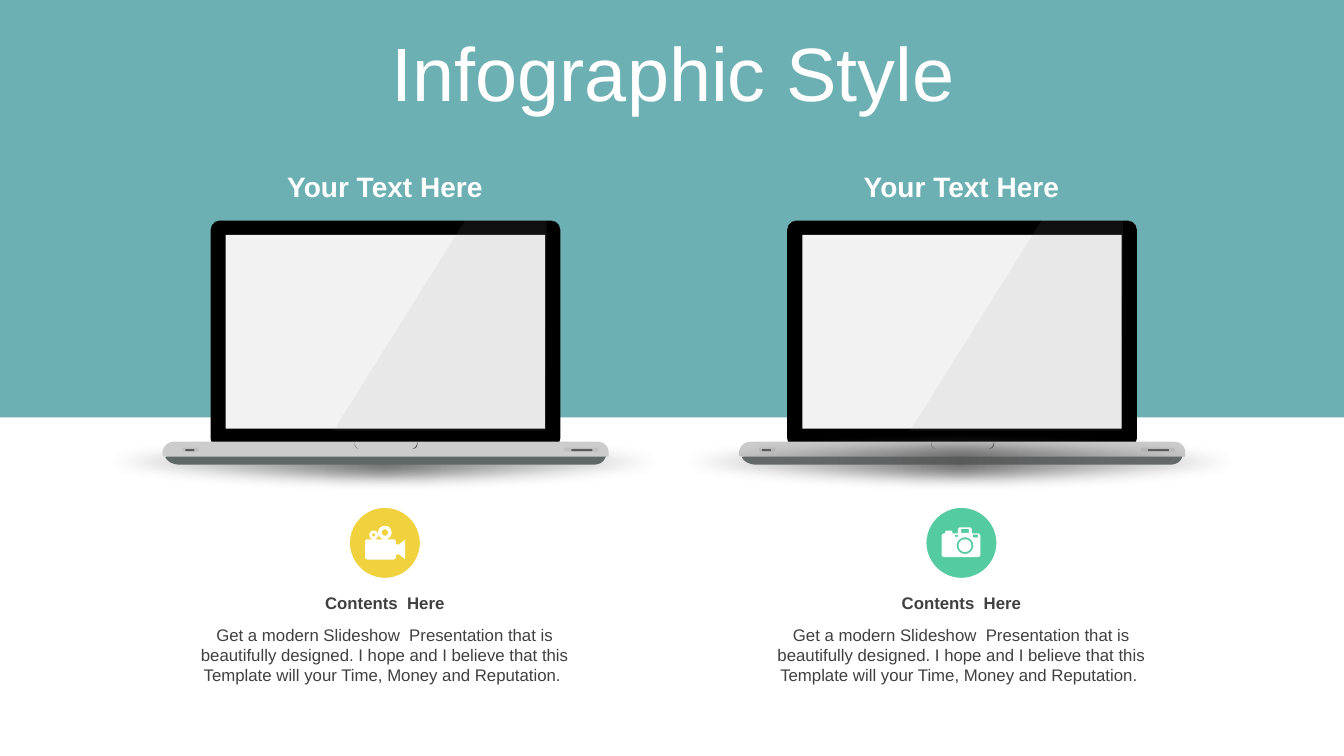
from math import cos, pi, sin

from lxml import etree
from pptx import Presentation
from pptx.dml.color import RGBColor
from pptx.enum.shapes import MSO_SHAPE
from pptx.enum.text import MSO_ANCHOR, PP_ALIGN
from pptx.oxml import parse_xml
from pptx.oxml.ns import nsdecls, qn
from pptx.util import Cm, Pt

RECT, ROUND, OVAL = MSO_SHAPE.RECTANGLE, MSO_SHAPE.ROUNDED_RECTANGLE, MSO_SHAPE.OVAL
CENTER, MIDDLE, TOP = PP_ALIGN.CENTER, MSO_ANCHOR.MIDDLE, MSO_ANCHOR.TOP
FONT = "Arial"


def disc(cx, cy, radius, steps=32):
    return [(cx + radius * cos(2 * pi * i / steps), cy + radius * sin(2 * pi * i / steps))
            for i in range(steps)]


def block(left, top, right, bottom):
    return [(left, top), (right, top), (right, bottom), (left, bottom)]


# Content: all lengths in cm; outlines hold points (x, y) or curves (x1, y1, x2, y2, x, y)
TITLE = "Infographic Style"
BODY = ("Get a modern Slideshow  Presentation that is beautifully designed. "
        "I hope and I believe that this Template will your Time, Money and Reputation. ")
VIDEO_ICON = [
    [(0.07, 0.34), (0.71, 0.34), (0.75, 0.34, 0.78, 0.37, 0.78, 0.41), (0.78, 0.46),
     (0.84, 0.48), (1.01, 0.35), (1.01, 0.84), (0.84, 0.71), (0.78, 0.74), (0.78, 0.78),
     (0.78, 0.82, 0.75, 0.85, 0.71, 0.85), (0.07, 0.85), (0.03, 0.85, 0, 0.82, 0, 0.78),
     (0, 0.41), (0, 0.37, 0.03, 0.34, 0.07, 0.34)],
    disc(0.5, 0.17, 0.17), disc(0.5, 0.17, 0.08),
    disc(0.22, 0.23, 0.11), disc(0.22, 0.23, 0.04),
]
CAMERA_ICON = [
    [(0.08, 0.15), (0.1, 0.1), (0.12, 0.08), (0.25, 0.08), (0.27, 0.1), (0.27, 0.15),
     (0.41, 0.15), (0.41, 0.04), (0.45, 0), (0.72, 0), (0.76, 0.04), (0.76, 0.15),
     (0.9, 0.15), (0.95, 0.15, 0.98, 0.18, 0.98, 0.23), (0.98, 0.67),
     (0.98, 0.72, 0.95, 0.75, 0.9, 0.75), (0.08, 0.75), (0.03, 0.75, 0, 0.72, 0, 0.67),
     (0, 0.23), (0, 0.18, 0.03, 0.15, 0.08, 0.15)],
    block(0.49, 0.04, 0.69, 0.14), block(0.34, 0.19, 0.41, 0.24),
    block(0.79, 0.18, 0.92, 0.25), disc(0.59, 0.46, 0.21), disc(0.59, 0.46, 0.16),
]
COLUMNS = [  # heading, label, body, icon colour, icon outline, icon left and top, shadow in front
    ("Your Text Here", "Contents  Here", BODY, "F0D23F", VIDEO_ICON, (9.2, 13.25), False),
    ("Your Text Here", "Contents  Here", BODY, "54CBA0", CAMERA_ICON, (9.2, 13.29), True),
]
COLUMN_STEP, COLUMN_CENTER = 14.53, 9.7

FOOT = [[(14.96, 11.71), (15.05, 11.71, 15.22, 11.68, 15.27, 11.5), (15.16, 11.4), (4.27, 11.4),
         (4.17, 11.53), (4.24, 11.66, 4.39, 11.7, 4.5, 11.71)]]
BASE = [[(4.39, 11.13), (15.06, 11.13), (15.22, 11.13, 15.34, 11.25, 15.34, 11.4),
         (15.34, 11.51), (4.2, 11.51), (4.15, 11.51, 4.1, 11.5, 4.09, 11.46), (4.09, 11.4),
         (4.12, 11.25, 4.22, 11.13, 4.39, 11.13)]]
NOTCH = [[(8.94, 11.13), (8.94, 11.13, 8.92, 11.28, 9.04, 11.31),
          (8.9, 11.28, 8.94, 11.13, 8.94, 11.13)],
         [(10.52, 11.13), (10.54, 11.28, 10.46, 11.31, 10.4, 11.31),
          (10.46, 11.28, 10.5, 11.26, 10.52, 11.13)]]
SHEEN = [[(11.73, 5.54), (13.77, 5.54), (13.74, 10.85), (8.41, 10.85)]]
SLOTS = [((4.6, 11.28, 0.41, 0.1), "BFBFBF"), ((4.67, 11.32, 0.23, 0.05), "595959"),
         ((14.22, 11.28, 0.86, 0.1), "BFBFBF"), ((14.4, 11.32, 0.53, 0.05), "595959")]

deck = Presentation()
deck.slide_width, deck.slide_height = Cm(33.87), Cm(19.05)
page = deck.slides.add_slide(deck.slide_layouts[5])


def color(value):
    return RGBColor.from_string(value)


def paint(shape, fill, opacity=100):
    shape.shadow.inherit = False
    shape.line.fill.background()
    shape.fill.solid()
    shape.fill.fore_color.rgb = color(fill)
    if opacity < 100:
        tint = shape.element.spPr.find(qn("a:solidFill"))[0]
        etree.SubElement(tint, qn("a:alpha"), val=str(opacity * 1000))
    return shape


def add_preset(kind, frame, fill, opacity=100, corner=None):
    shape = page.shapes.add_shape(kind, *map(Cm, frame))
    if corner is not None:
        shape.adjustments[0] = corner
    return paint(shape, fill, opacity)


def flatten(outline, steps=8):
    points = [outline[0]]
    for item in outline[1:]:
        if len(item) == 2:
            points.append(item)
            continue
        start, controls = points[-1], (item[:2], item[2:4], item[4:])
        for i in range(1, steps + 1):
            t = i / steps
            weights = ((1 - t) ** 3, 3 * t * (1 - t) ** 2, 3 * t * t * (1 - t), t ** 3)
            points.append(tuple(sum(w * p[axis] for w, p in zip(weights, (start, *controls)))
                                for axis in (0, 1)))
    return points


def add_outline(outlines, fill, left, top=0, opacity=100):
    builder = None
    for outline in outlines:
        points = [(Cm(left + x), Cm(top + y)) for x, y in flatten(outline)]
        if builder is None:
            builder = page.shapes.build_freeform(*points[0])
        else:
            builder.move_to(*points[0])
        builder.add_line_segments(points[1:], close=True)
    return paint(builder.convert_to_shape(), fill, opacity)


def write(box, text, size, fill, bold=False, anchor=TOP):
    frame = box.text_frame
    frame.word_wrap = True
    frame.vertical_anchor = anchor
    para = frame.paragraphs[0]
    para.alignment = CENTER
    span = para.add_run()
    span.text = text
    span.font.name, span.font.size, span.font.bold = FONT, Pt(size), bold
    span.font.color.rgb = color(fill)
    return para


def add_text(center, top, width, height, *style):
    box = page.shapes.add_textbox(Cm(center - width / 2), Cm(top), Cm(width), Cm(height))
    write(box, *style)


def add_shadow(shift):
    shape = add_preset(OVAL, (1.45 + shift, 10.9, 16.41, 1.45), "808080")
    solid = shape.element.spPr.find(qn("a:solidFill"))
    solid.getparent().replace(solid, parse_xml(
        f'<a:gradFill {nsdecls("a")} rotWithShape="1"><a:gsLst>'
        '<a:gs pos="0"><a:srgbClr val="595959"><a:alpha val="85000"/></a:srgbClr></a:gs>'
        '<a:gs pos="100000"><a:srgbClr val="808080"><a:alpha val="0"/></a:srgbClr></a:gs>'
        '</a:gsLst><a:path path="circle"><a:fillToRect l="50000" t="50000" r="50000" b="50000"/>'
        '</a:path></a:gradFill>'))
    effects = shape.element.spPr.find(qn("a:effectLst"))
    etree.SubElement(effects, qn("a:softEdge"), rad=str(Cm(0.35)))


def add_laptop(shift):
    add_outline(FOOT, "5F6767", shift)
    add_preset(ROUND, (5.31 + shift, 5.56, 8.81, 5.72), "000000", corner=0.04)
    add_preset(RECT, (5.69 + shift, 5.92, 8.05, 4.88), "F2F2F2")
    add_outline(BASE, "CCCCCC", shift)
    add_outline(NOTCH, "4D4D4D", shift)
    for (left, top, width, height), fill in SLOTS:
        add_preset(ROUND, (left + shift, top, width, height), fill, corner=0.28)
    add_outline(SHEEN, "999999", shift, opacity=10)


# Top band
add_preset(RECT, (0, 0, 33.87, 10.52), "1F878D", opacity=65)

# Columns
for index, (heading, label, body, fill, icon, (left, top), in_front) in enumerate(COLUMNS):
    shift = index * COLUMN_STEP
    center = COLUMN_CENTER + shift
    for draw in (add_laptop, add_shadow) if in_front else (add_shadow, add_laptop):
        draw(shift)
    add_text(center, 4.14, 6.2, 1.12, heading, 20, "FFFFFF", True)
    add_text(center, 14.81, 10.2, 0.76, label, 12, "404040", True)
    add_text(center, 15.62, 10.2, 1.8, body, 12, "404040")
    badge = add_preset(OVAL, (center - 0.9, 12.78, 1.8, 1.8), fill)
    badge.line.color.rgb = color("FFFFFF")
    badge.line.width = Pt(1)
    add_outline(icon, "FFFFFF", left + shift, top)

# Title, brought in front of the band
title = page.shapes.title
title.left, title.top, title.width, title.height = map(Cm, (0.89, 0.94, 32.16, 2.01))
write(title, TITLE, 54, "FFFFFF", anchor=MIDDLE).line_spacing = 0.9
title.element.getparent().append(title.element)

deck.save("out.pptx")
